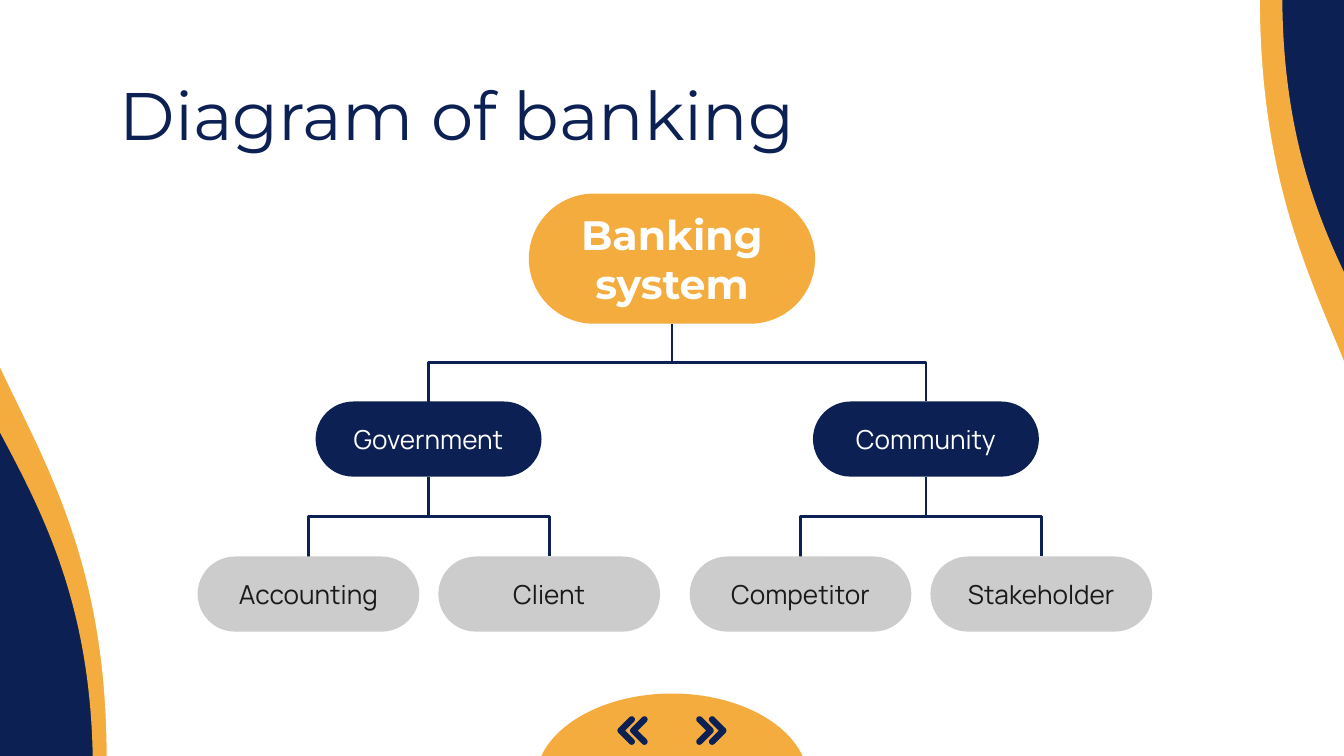
import dataclasses
import math
import typing

import lxml.etree
import pptx
import pptx.dml.color
import pptx.enum.shapes
import pptx.enum.text
import pptx.oxml.ns
import pptx.util

Cm = pptx.util.Cm
Shapes = pptx.enum.shapes.MSO_SHAPE
Align = pptx.enum.text.PP_ALIGN


@dataclasses.dataclass(frozen=True)
class Theme:
    navy: str = "0C2054"
    orange: str = "F3AC3D"
    white: str = "FFFFFF"
    grey: str = "CCCCCC"
    ink: str = "191919"
    heading_font: str = "Montserrat"
    body_font: str = "Manrope"
    title_size: int = 36
    root_size: int = 22
    node_size: int = 14
    line_width: float = 1.5
    inset: float = 0.25


@dataclasses.dataclass(frozen=True)
class TextStyle:
    font: str
    size: int
    color: str
    bold: bool = False
    align: typing.Any = Align.CENTER


@dataclasses.dataclass(frozen=True)
class Level:
    top: float
    width: float
    height: float
    fill: str
    style: TextStyle

    @property
    def bottom(self) -> float:
        return self.top + self.height


@dataclasses.dataclass(frozen=True)
class Node:
    text: str
    center: float
    level: Level
    children: tuple["Node", ...] = ()


class Wave(typing.NamedTuple):
    left: float
    top: float
    width: float
    height: float
    rotation: int
    fill: str


THEME = Theme()
MIDDLE = 12.7
TITLE = TextStyle(THEME.heading_font, THEME.title_size, THEME.navy, align=Align.LEFT)
ROOT = Level(3.66, 5.41, 2.46, THEME.orange,
             TextStyle(THEME.heading_font, THEME.root_size, THEME.white, bold=True))
BRANCH = Level(7.59, 4.27, 1.42, THEME.navy,
               TextStyle(THEME.body_font, THEME.node_size, THEME.white))
LEAF = Level(10.52, 4.19, 1.42, THEME.grey,
             TextStyle(THEME.body_font, THEME.node_size, THEME.ink))

WAVES = (
    Wave(-0.43, -0.97, 14.43, 16.66, 90, THEME.orange),
    Wave(11.99, -1.22, 14.43, 16.66, 270, THEME.orange),
    Wave(12.67, 0.61, 14.43, 13, 270, THEME.white),
    Wave(-0.71, -1.04, 14.96, 15.75, 90, THEME.white),
)

TREE = Node("Banking system", MIDDLE, ROOT, (
    Node("Government", 8.1, BRANCH, (
        Node("Accounting", 5.83, LEAF),
        Node("Client", 10.38, LEAF),
    )),
    Node("Community", 17.5, BRANCH, (
        Node("Competitor", 15.13, LEAF),
        Node("Stakeholder", 19.68, LEAF),
    )),
))


def rgb(color: str) -> pptx.dml.color.RGBColor:
    return pptx.dml.color.RGBColor.from_string(color)


def apply(target: typing.Any, values: dict[str, typing.Any]) -> None:
    for name, value in values.items():
        setattr(target, name, value)


def paint(shape: typing.Any, color: str) -> None:
    shape.shadow.inherit = False
    shape.fill.solid()
    shape.fill.fore_color.rgb = rgb(color)
    shape.line.fill.background()


def add_preset(page: typing.Any, preset: typing.Any, left: float, top: float,
               width: float, height: float, color: str) -> typing.Any:
    shape = page.shapes.add_shape(preset, Cm(left), Cm(top), Cm(width), Cm(height))
    paint(shape, color)
    return shape


def write(box: typing.Any, text: str, style: TextStyle) -> None:
    inset = Cm(THEME.inset)
    apply(box.text_frame, {
        "word_wrap": True,
        "vertical_anchor": pptx.enum.text.MSO_ANCHOR.MIDDLE,
        "margin_left": inset,
        "margin_right": inset,
        "margin_top": inset,
        "margin_bottom": inset,
    })
    para = box.text_frame.paragraphs[0]
    para.alignment = style.align
    span = para.add_run()
    span.text = text
    apply(span.font, {
        "name": style.font,
        "size": pptx.util.Pt(style.size),
        "bold": style.bold,
    })
    span.font.color.rgb = rgb(style.color)


def draw_wave(page: typing.Any, wave: Wave) -> None:
    shape = add_preset(page, Shapes.FLOWCHART_DOCUMENT, wave.left, wave.top,
                       wave.width, wave.height, wave.fill)
    shape.rotation = wave.rotation


def draw_link(page: typing.Any, parent: Node, child: Node) -> None:
    drop = child.level.top - parent.level.bottom
    run = child.center - parent.center
    x = (parent.center + child.center) / 2
    y = (parent.level.bottom + child.level.top) / 2
    reach = math.copysign(drop / 2, run)
    half = abs(run) / 2
    link = page.shapes.add_connector(
        pptx.enum.shapes.MSO_CONNECTOR.ELBOW,
        Cm(x + reach), Cm(y - half), Cm(x - reach), Cm(y + half))
    if run < 0:
        link.begin_x, link.end_x = Cm(x - drop / 2), Cm(x + drop / 2)
    link.line.width = pptx.util.Pt(THEME.line_width)
    link.line.color.rgb = rgb(THEME.navy)
    properties = link._element.spPr
    properties.find(pptx.oxml.ns.qn("a:xfrm")).set("rot", str(270 * 60000))
    lxml.etree.SubElement(properties, pptx.oxml.ns.qn("a:effectLst"))


def draw_tree(page: typing.Any, node: Node) -> None:
    level = node.level
    pill = add_preset(page, Shapes.ROUNDED_RECTANGLE, node.center - level.width / 2,
                      level.top, level.width, level.height, level.fill)
    pill.adjustments[0] = 0.5
    write(pill, node.text, level.style)
    for child in node.children:
        draw_link(page, node, child)
        draw_tree(page, child)


def draw_chevron(page: typing.Any, tip: float, middle: float, direction: int) -> None:
    arm, radius = 0.21, 0.06

    def arc(x: float, y: float, start: int, stop: int) -> list[tuple[float, float]]:
        return [(x + radius * math.cos(math.radians(angle)),
                 y + radius * math.sin(math.radians(angle)))
                for angle in range(start, stop + 1, 15)]

    outline = (arc(0, 0, -45, 45) + arc(-arm, arm, 45, 225)
               + [(-radius * math.sqrt(2), 0)] + arc(-arm, -arm, 135, 315))
    points = [(Cm(tip + direction * x), Cm(middle + y)) for x, y in outline]
    builder = page.shapes.build_freeform(*points[0])
    builder.add_line_segments(points[1:], close=True)
    paint(builder.convert_to_shape(), THEME.navy)


def draw_navigation(page: typing.Any) -> None:
    width, height = 5.16, 3.33
    dome = add_preset(page, Shapes.PIE, MIDDLE - width / 2, 13.11,
                      width, height, THEME.orange)
    dome.adjustments[0] = 107.69
    dome.adjustments[1] = 0
    for direction in (1, -1):
        for offset in (0.73, 0.97):
            draw_chevron(page, MIDDLE + direction * offset, 13.81, direction)


def main() -> None:
    deck = pptx.Presentation()
    apply(deck, {"slide_width": Cm(25.4), "slide_height": Cm(14.29)})
    page = deck.slides.add_slide(deck.slide_layouts[6])
    page.background.fill.solid()
    page.background.fill.fore_color.rgb = rgb(THEME.navy)
    for wave in WAVES:
        draw_wave(page, wave)
    title = page.shapes.add_textbox(Cm(2.01), Cm(1.47), Cm(21.41), Cm(1.35))
    write(title, "Diagram of banking", TITLE)
    draw_tree(page, TREE)
    draw_navigation(page)
    deck.save("out.pptx")


if __name__ == "__main__":
    main()
